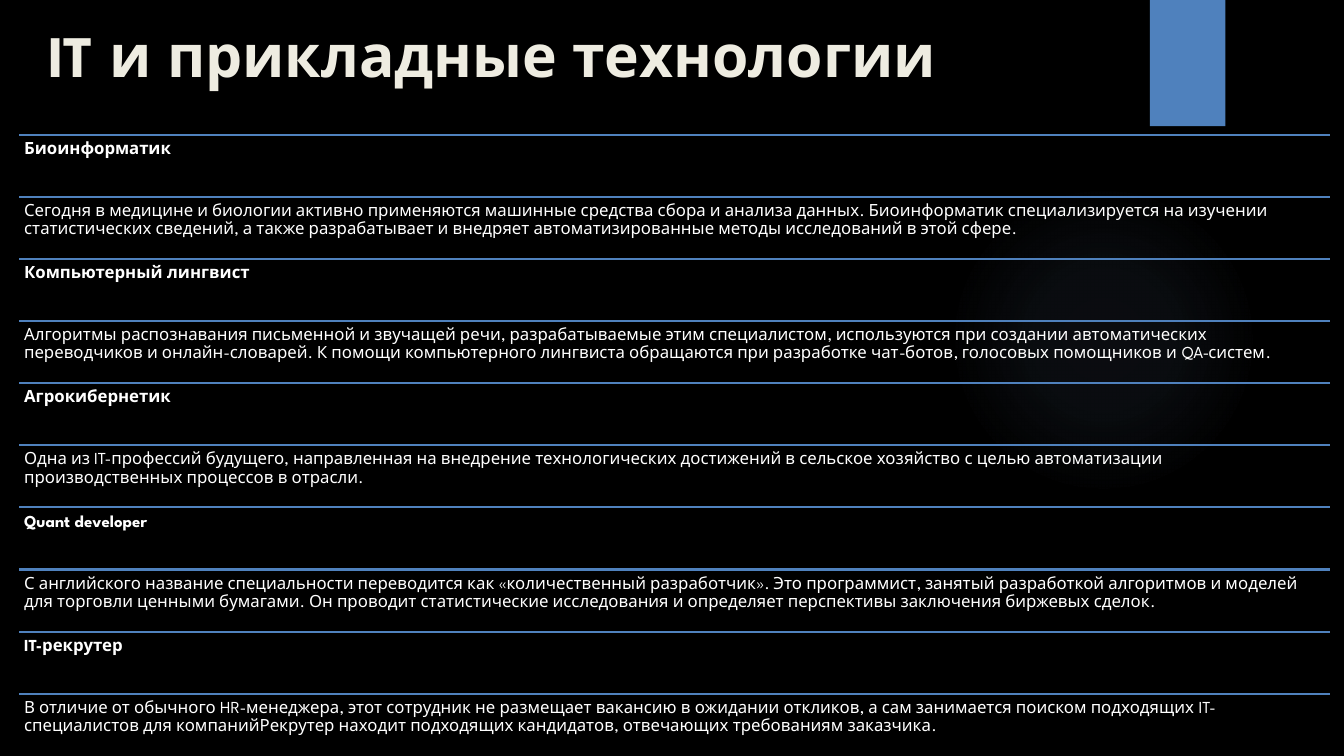
from lxml import etree
from pptx import Presentation
from pptx.dml.color import RGBColor
from pptx.enum import shapes, text
from pptx.oxml import ns, parse_xml
from pptx.util import Cm, Pt

COLORS = {
    "background": "000000",
    "accent": "4F81BD",
    "glow": "8EB4E3",
    "title": "EEECE1",
    "body": "FFFFFF",
}
FONT = "League Spartan"
LEFT, WIDTH = 0.48, 33.05
FIRST_TOP, LAST_TOP = 3.4, 17.48
INSET = 0.13

PROFESSIONS = [
    ("Биоинформатик",
     "Сегодня в медицине и биологии активно применяются машинные средства сбора "
     "и анализа данных. Биоинформатик специализируется на изучении статистических "
     "сведений, а также разрабатывает и внедряет автоматизированные методы "
     "исследований в этой сфере."),
    ("Компьютерный лингвист",
     "Алгоритмы распознавания письменной и звучащей речи, разрабатываемые этим "
     "специалистом, используются при создании автоматических переводчиков и "
     "онлайн-словарей. К помощи компьютерного лингвиста обращаются при разработке "
     "чат-ботов, голосовых помощников и QA-систем."),
    ("Агрокибернетик",
     "Одна из IT-профессий будущего, направленная на внедрение технологических "
     "достижений в сельское хозяйство с целью автоматизации производственных "
     "процессов в отрасли."),
    ("Quant developer",
     "С английского название специальности переводится как «количественный "
     "разработчик». Это программист, занятый разработкой алгоритмов и моделей для "
     "торговли ценными бумагами. Он проводит статистические исследования и "
     "определяет перспективы заключения биржевых сделок."),
    ("IT-рекрутер",
     "В отличие от обычного HR-менеджера, этот сотрудник не размещает вакансию в "
     "ожидании откликов, а сам занимается поиском подходящих IT-специалистов для "
     "компанийРекрутер находит подходящих кандидатов, отвечающих требованиям "
     "заказчика."),
]


def color(name):
    return RGBColor.from_string(COLORS[name])


def add_plain_shape(page, kind, left, top, width, height):
    shape = page.shapes.add_shape(kind, Cm(left), Cm(top), Cm(width), Cm(height))
    shape.shadow.inherit = False
    shape.line.fill.background()
    return shape


def add_glow(page):
    glow = add_plain_shape(page, shapes.MSO_SHAPE.OVAL, 23.9, 4.65, 7.82, 7.82)
    stops = "".join(
        f'<a:gs pos="{place * 1000}"><a:srgbClr val="{COLORS["glow"]}">'
        f'<a:alpha val="{alpha * 1000}"/></a:srgbClr></a:gs>'
        for place, alpha in [(0, 7), (36, 6), (69, 0), (100, 0)]
    )
    gradient = parse_xml(
        f'<a:gradFill {ns.nsdecls("a")}><a:gsLst>{stops}</a:gsLst>'
        '<a:path path="circle"><a:fillToRect l="50000" t="50000" r="50000" '
        'b="50000"/></a:path></a:gradFill>'
    )
    glow._element.spPr.insert(2, gradient)


def add_bookmark(page):
    bookmark = add_plain_shape(page, shapes.MSO_SHAPE.RECTANGLE, 28.98, 0, 1.9, 3.18)
    bookmark.fill.solid()
    bookmark.fill.fore_color.rgb = color("accent")


def add_text(page, words, left, top, width, height, size, shade, bold):
    box = page.shapes.add_textbox(Cm(left), Cm(top), Cm(width), Cm(height))
    frame = box.text_frame
    frame.word_wrap = True
    frame.text = words
    font = frame.paragraphs[0].runs[0].font
    font.name, font.size, font.bold = FONT, Pt(size), bold
    font.color.rgb = color(shade)
    return frame


def add_rule(page, top):
    rule = page.shapes.add_connector(
        shapes.MSO_CONNECTOR.STRAIGHT, Cm(LEFT), Cm(top), Cm(LEFT + WIDTH), Cm(top)
    )
    rule.line.color.rgb = color("accent")
    rule.line.width = Pt(1.5)
    etree.SubElement(rule._element.spPr, ns.qn("a:effectLst"))


def add_row(page, words, top, height, bold):
    add_rule(page, top)
    frame = add_text(page, words, LEFT, top, WIDTH, height, 12, "body", bold)
    frame.margin_left = frame.margin_right = Cm(INSET)
    frame.margin_top = frame.margin_bottom = Cm(INSET)
    frame.paragraphs[0].line_spacing = 0.9


def main():
    deck = Presentation()
    deck.slide_width, deck.slide_height = Cm(33.87), Cm(19.05)
    page = deck.slides.add_slide(deck.slide_layouts[6])
    page.background.fill.solid()
    page.background.fill.fore_color.rgb = color("background")

    add_glow(page)
    add_bookmark(page)
    title = add_text(page, "IT и прикладные технологии",
                     0.97, 0.28, 28.58, 2.16, 42, "title", True)
    title.vertical_anchor = text.MSO_ANCHOR.MIDDLE

    rows = [(words, bold) for profession in PROFESSIONS
            for words, bold in zip(profession, (True, False))]
    pitch = (LAST_TOP - FIRST_TOP) / (len(rows) - 1)
    for index, (words, bold) in enumerate(rows):
        add_row(page, words, FIRST_TOP + index * pitch, pitch, bold)

    deck.save("out.pptx")


if __name__ == "__main__":
    main()
